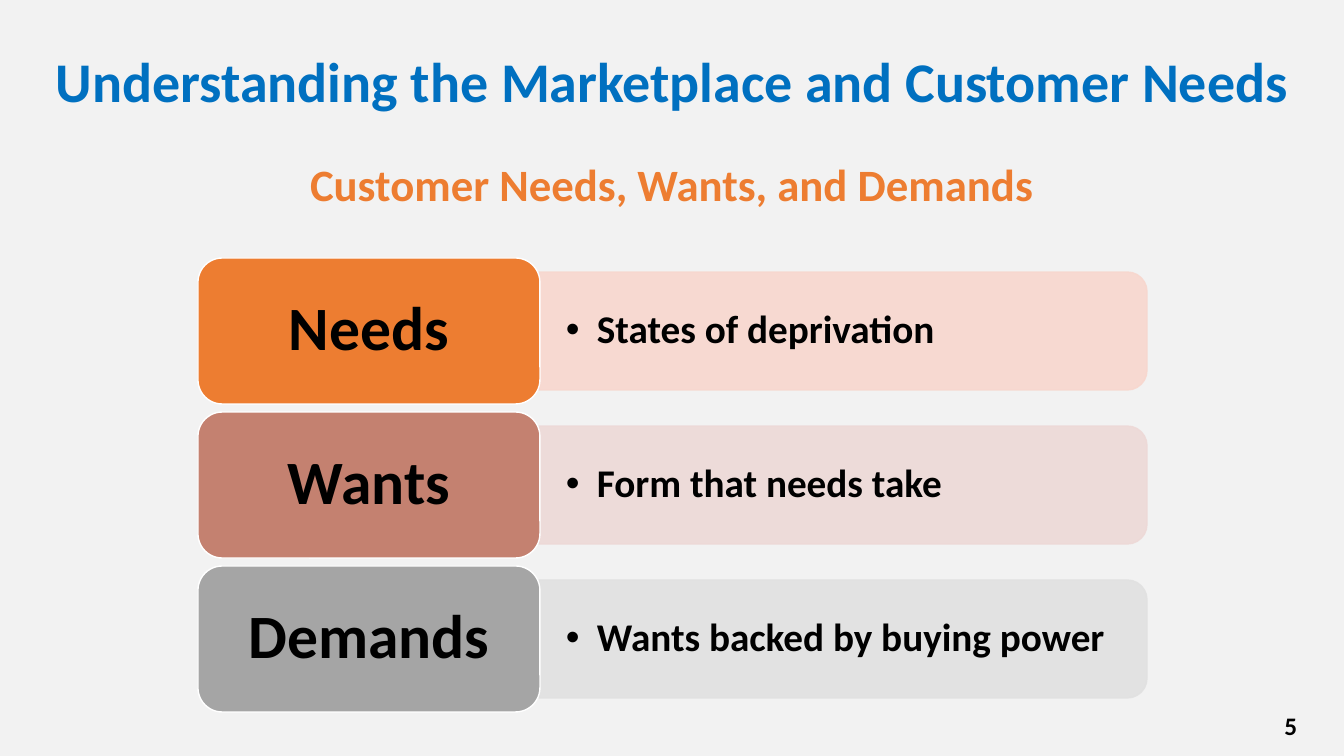
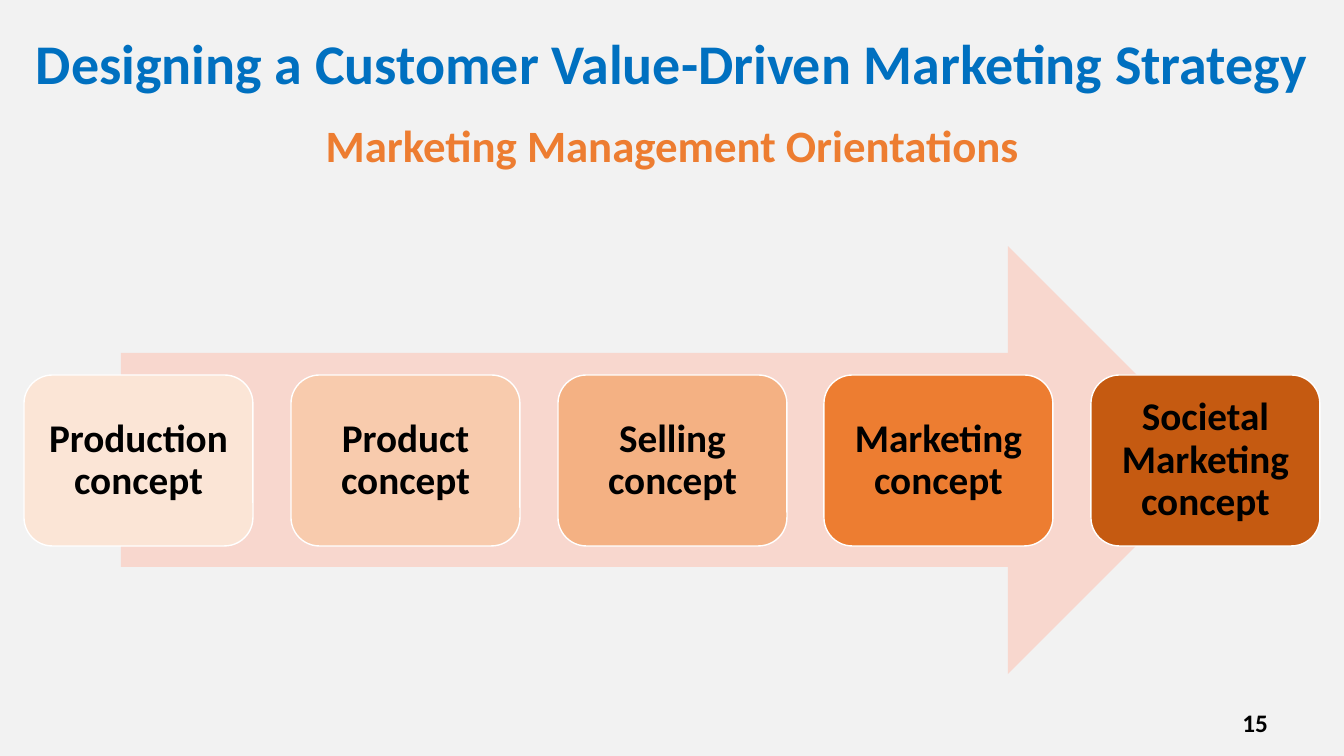
"""Build two marketing slides: a list of needs and a row of concepts."""
from dataclasses import dataclass

from lxml import etree
from pptx import Presentation
from pptx import util as u
from pptx.dml import color
from pptx.enum import shapes, text
from pptx.oxml import ns

SCALE = 914400 / 100.8
WIDE, HIGH = 1344, 756
FONT = "Calibri"
GROUND, BLUE, ORANGE = "F2F2F2", "0070C0", "ED7D31"
BLACK, WHITE, PINK = "000000", "FFFFFF", "F8D7CE"
KIND = shapes.MSO_SHAPE
ALIGN = text.PP_ALIGN
MIDDLE, TOP = text.MSO_ANCHOR.MIDDLE, text.MSO_ANCHOR.TOP


@dataclass(frozen=True)
class Box:
    """A place on the slide in px."""
    left: int
    top: int
    width: int
    height: int


@dataclass(frozen=True)
class Row:
    """A term, its meaning and their fills."""
    term: str
    note: str
    fill: str
    tint: str


@dataclass(frozen=True)
class Step:
    """A concept and its fill."""
    name: str
    fill: str


@dataclass(frozen=True)
class Head:
    """The title, subtitle and page number of a slide."""
    title: str
    place: Box
    sub: str
    under: Box
    lead: float
    page: str
    foot: Box


ROWS = [
    Row("Needs", "States of deprivation", ORANGE, PINK),
    Row("Wants", "Form that needs take", "C48170", "EDD9D7"),
    Row("Demands", "Wants backed by buying power", "A5A5A5", "E1E1E1"),
]
STEPS = [
    Step("Production concept", "FBE5D6"),
    Step("Product concept", "F8CBAD"),
    Step("Selling concept", "F4B183"),
    Step("Marketing concept", ORANGE),
    Step("Societal Marketing concept", "C55A11"),
]
NEEDS = Head(
    "Understanding the Marketplace and Customer Needs", Box(31, 21, 1282, 126),
    "Customer Needs, Wants, and Demands", Box(168, 162, 1008, 52), 0.8,
    "5", Box(1233, 705, 74, 40),
)
PLAN = Head(
    "Designing a Customer Value-Driven Marketing Strategy", Box(24, 25, 1295, 82),
    "Marketing Management Orientations", Box(202, 119, 941, 60), 0.9,
    "15", Box(1204, 702, 74, 40),
)


def px(size: int) -> int:
    """Turn px into EMU."""
    return round(size * SCALE)


def span(box: Box) -> tuple:
    """Give the EMU lengths of a box."""
    return px(box.left), px(box.top), px(box.width), px(box.height)


def tone(code: str) -> color.RGBColor:
    """Turn a hex string into a colour."""
    return color.RGBColor.from_string(code)


def write(shape, words: str, *, size: int, ink: str = BLACK, align=ALIGN.CENTER,
          anchor=MIDDLE, inset: tuple = (10, 5), lead: float = 0.9,
          before: int = 0, hang: int = 0) -> None:
    """Put bold text in a shape, with a bullet if it hangs."""
    frame = shape.text_frame
    frame.word_wrap = True
    frame.vertical_anchor = anchor
    frame.margin_left = frame.margin_right = px(inset[0])
    frame.margin_top = frame.margin_bottom = px(inset[1])
    para = frame.paragraphs[0]
    para.alignment = align
    para.line_spacing = lead
    para.space_before = u.Pt(before)
    run = para.add_run()
    run.text = words
    run.font.name, run.font.size, run.font.bold = FONT, u.Pt(size), True
    run.font.color.rgb = tone(ink)
    if hang:
        prop = para._p.get_or_add_pPr()
        prop.set("marL", str(px(hang)))
        prop.set("indent", str(-px(hang)))
        etree.SubElement(prop, ns.qn("a:buFont")).set("typeface", "Arial")
        etree.SubElement(prop, ns.qn("a:buChar")).set("char", "•")


def label(slide, box: Box, words: str, **style) -> None:
    """Add a text box."""
    write(slide.shapes.add_textbox(*span(box)), words, **style)


def draw(slide, kind, box: Box, fill: str, line: str = "", alpha: int = 100):
    """Add a filled shape."""
    shape = slide.shapes.add_shape(kind, *span(box))
    shape.shadow.inherit = False
    shape.fill.solid()
    shape.fill.fore_color.rgb = tone(fill)
    if line:
        shape.line.color.rgb = tone(line)
        shape.line.width = u.Pt(1)
    else:
        shape.line.fill.background()
    if alpha < 100:
        for node in shape._element.spPr.iter(ns.qn("a:srgbClr")):
            etree.SubElement(node, ns.qn("a:alpha")).set("val", str(alpha * 1000))
    return shape


def start(deck, head: Head):
    """Add a slide with its title, subtitle and page number."""
    slide = deck.slides.add_slide(deck.slide_layouts[6])
    label(slide, head.place, head.title, size=40, ink=BLUE)
    label(slide, head.under, head.sub, size=32, ink=ORANGE, anchor=TOP,
          lead=head.lead, before=10)
    label(slide, head.foot, head.page, size=18, align=ALIGN.RIGHT, anchor=TOP, lead=1)
    return slide


def bar(slide, box: Box, tint: str) -> None:
    """Add a bar with a round right end."""
    shift = (box.width - box.height) // 2
    tall = Box(box.left + shift, box.top - shift, box.height, box.width)
    draw(slide, KIND.ROUND_2_SAME_RECTANGLE, tall, tint, tint, 90).rotation = 90


def needs(deck) -> None:
    """Build the slide of needs, wants and demands."""
    slide = start(deck, NEEDS)
    card, gap = Box(198, 258, 342, 146), 8
    for i, row in enumerate(ROWS):
        top = card.top + i * (card.height + gap)
        strip = Box(539, top + 14, 608, 118)
        bar(slide, strip, row.tint)
        label(slide, strip, row.note, size=28, align=ALIGN.LEFT, inset=(27, 14), hang=31)
        tile = draw(slide, KIND.ROUNDED_RECTANGLE,
                    Box(card.left, top, card.width, card.height), row.fill, WHITE)
        write(tile, row.term, size=44, inset=(18, 9))


def plan(deck) -> None:
    """Build the slide of concepts along an arrow."""
    slide = start(deck, PLAN)
    draw(slide, KIND.RIGHT_ARROW, Box(121, 246, 1101, 428), PINK)
    edge, width = 24, 229
    room = WIDE - 2 * edge - width
    for i, step in enumerate(STEPS):
        left = edge + round(i * room / (len(STEPS) - 1))
        tile = draw(slide, KIND.ROUNDED_RECTANGLE, Box(left, 375, width, 171),
                    step.fill, WHITE)
        write(tile, step.name, size=28, inset=(12, 12))


def main() -> None:
    """Build and save the deck."""
    deck = Presentation()
    deck.slide_width, deck.slide_height = px(WIDE), px(HIGH)
    ground = deck.slide_master.background.fill
    ground.solid()
    ground.fore_color.rgb = tone(GROUND)
    needs(deck)
    plan(deck)
    deck.save("out.pptx")


if __name__ == "__main__":
    main()
